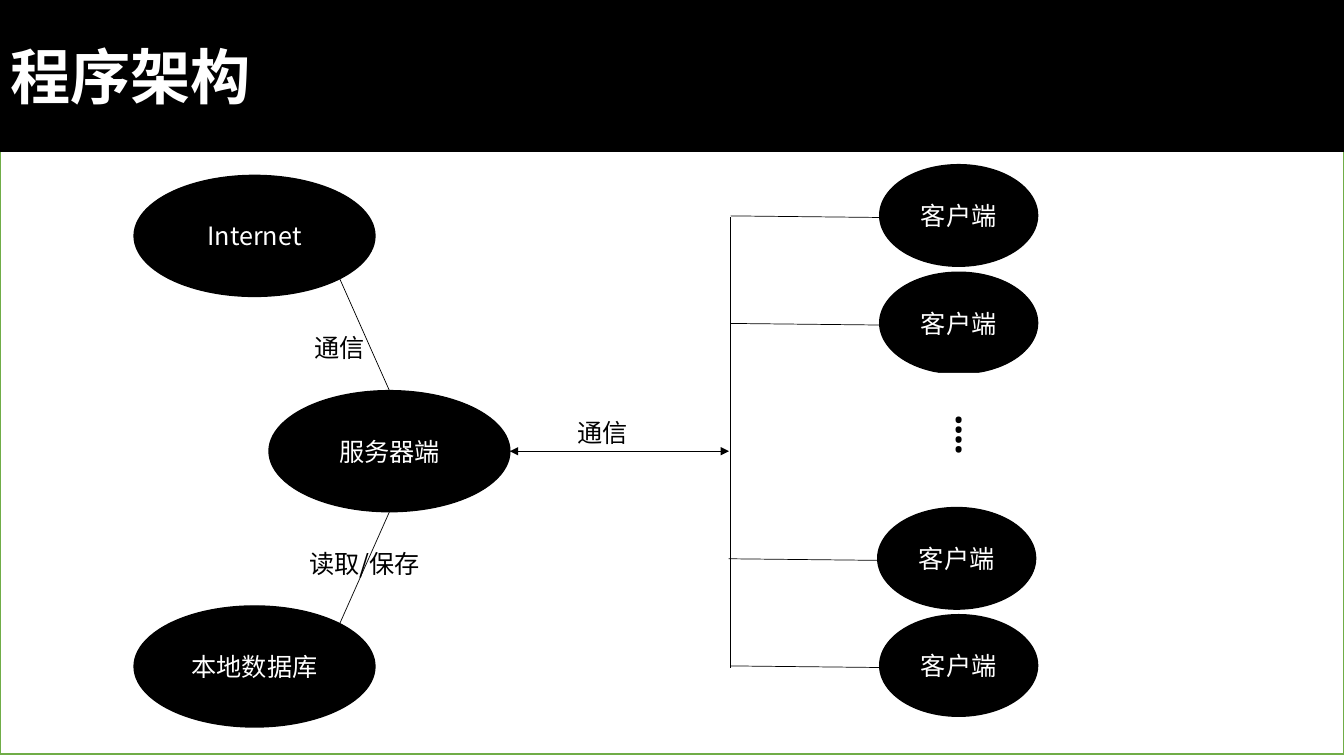
from math import cos, pi
from lxml.etree import SubElement
from pptx import Presentation
from pptx.dml.color import RGBColor
from pptx.enum.shapes import MSO_CONNECTOR, MSO_SHAPE
from pptx.enum.text import MSO_ANCHOR, MSO_AUTO_SIZE, PP_ALIGN
from pptx.oxml.ns import qn
from pptx.util import Cm, Pt

COLORS = {"black": "000000", "white": "FFFFFF", "green": "70AD47"}
FONT = "Noto Sans CJK SC"
PAGE_WIDTH, PAGE_HEIGHT = 33.87, 19.05
TITLE_HEIGHT = 3.81


def color(name):
    """Return the named colour."""
    return RGBColor.from_string(COLORS[name])


def write(shape, text, size, ink, align=PP_ALIGN.CENTER, bold=False):
    """Write one vertically centred line of text in a shape."""
    frame = shape.text_frame
    frame.auto_size = MSO_AUTO_SIZE.NONE
    frame.vertical_anchor = MSO_ANCHOR.MIDDLE
    frame.word_wrap = False
    para = frame.paragraphs[0]
    para.alignment = align
    span = para.add_run()
    span.text = text
    span.font.size = Pt(size)
    span.font.bold = bold
    span.font.name = FONT
    span.font.color.rgb = color(ink)
    east_asian = SubElement(span.font._element, qn("a:ea"))
    east_asian.set("typeface", FONT)


def paint(shape, fill, line=None):
    """Set the fill and outline of a shape."""
    shape.fill.solid()
    shape.fill.fore_color.rgb = color(fill)
    if line:
        shape.line.color.rgb = color(line)
        shape.line.width = Pt(1)
    else:
        shape.line.fill.background()


def add_box(page, kind, box, fill, line=None):
    """Add a preset shape in a box of left, top, width, height."""
    shape = page.shapes.add_shape(kind, *map(Cm, box))
    shape.shadow.inherit = False
    paint(shape, fill, line)
    return shape


def add_node(page, box, text):
    """Add a black ellipse with white text."""
    write(add_box(page, MSO_SHAPE.OVAL, box, "black", "black"), text, 18, "white")


def add_label(page, box, text, size=18):
    """Add black text on a white box."""
    write(add_box(page, MSO_SHAPE.RECTANGLE, box, "white"), text, size, "black")


def add_link(page, start, end, arrows=False):
    """Add a thin line, with arrowheads at both ends if asked."""
    link = page.shapes.add_connector(MSO_CONNECTOR.STRAIGHT, *map(Cm, (*start, *end)))
    link.line.color.rgb = color("black")
    link.line.width = Pt(0.5)
    properties = link._element.spPr
    if arrows:
        for end_name in ("a:headEnd", "a:tailEnd"):
            SubElement(properties.find(qn("a:ln")), qn(end_name)).set("type", "triangle")
    SubElement(properties, qn("a:effectLst"))


def add_frame(page, box):
    """Add the white page panel with its green outline."""
    add_box(page, MSO_SHAPE.RECTANGLE, box, "white", "green")


def add_title(page, box, text):
    """Turn the title placeholder into the black band above the panel."""
    title = page.shapes.title
    title.left, title.top, title.width, title.height = map(Cm, box)
    paint(title, "black", "black")
    write(title, text, 43, "white", PP_ALIGN.LEFT, bold=True)
    title.element.getparent().append(title.element)


def add_server_side(page, box):
    """Add the server with its two sources; return the server's right tip."""
    left, top, width, height = box
    node_width, node_height = 6.07, 3.05
    step = (height - node_height) / 2
    server_left, server_top = left + width - node_width, top + step
    server_middle = server_left + node_width / 2
    diagonal = cos(pi / 4)
    link_x = left + node_width / 2 * (1 + diagonal)
    rim = node_height / 2 * diagonal
    sources = [
        ("Internet", top, 1, server_top, "通信", (4.29, 3.61, 1.78, 1.45)),
        ("本地数据库", top + 2 * step, -1, server_top + node_height,
         "读取/保存", (3.99, 8.79, 3.63, 1.98)),
    ]
    add_node(page, (server_left, server_top, node_width, node_height), "服务器端")
    for name, node_top, side, server_y, label, (x, y, w, h) in sources:
        add_label(page, (left + x, top + y, w, h), label)
        add_link(page, (link_x, node_top + node_height / 2 + side * rim),
                 (server_middle, server_y))
        add_node(page, (left, node_top, node_width, node_height), name)
    return server_left + node_width, server_top + node_height / 2


def add_client_side(page, box):
    """Add the vertical bus and the clients that branch off it."""
    left, top, width, height = box
    node_width, node_height, slope = 3.98, 2.56, 0.04
    node_left = left + width - node_width
    middle = node_height / 2 + 0.05
    add_link(page, (left, top + height - node_height + middle), (left, top + middle))
    for offset, shift in ((0, 0), (2.71, 0), (8.64, -0.05), (height - node_height, 0)):
        y = top + offset
        add_node(page, (node_left + shift, y, node_width, node_height), "客户端")
        add_link(page, (node_left + shift, y + middle), (left + shift, y + middle - slope))
    add_label(page, (node_left + 0.4, top + 5.25, 3.18, 3), "⁞", 35)


def add_exchange(page, start, end):
    """Add the two-way arrow between server and bus with its label."""
    add_label(page, (start[0] + 1.45, start[1] - 1.19, 1.78, 1.45), "通信")
    add_link(page, start, end, arrows=True)


def main():
    """Build and save the slide."""
    deck = Presentation()
    deck.slide_width, deck.slide_height = Cm(PAGE_WIDTH), Cm(PAGE_HEIGHT)
    page = deck.slides.add_slide(deck.slide_layouts[5])
    add_frame(page, (0, -0.05, PAGE_WIDTH, PAGE_HEIGHT))
    add_title(page, (0, 0, PAGE_WIDTH, TITLE_HEIGHT), "程序架构")
    server_tip = add_server_side(page, (3.38, 4.42, 9.47, 13.9))
    add_client_side(page, (18.41, 4.15, 7.74, 13.9))
    add_exchange(page, server_tip, (18.37, server_tip[1]))
    deck.save("out.pptx")


main()
